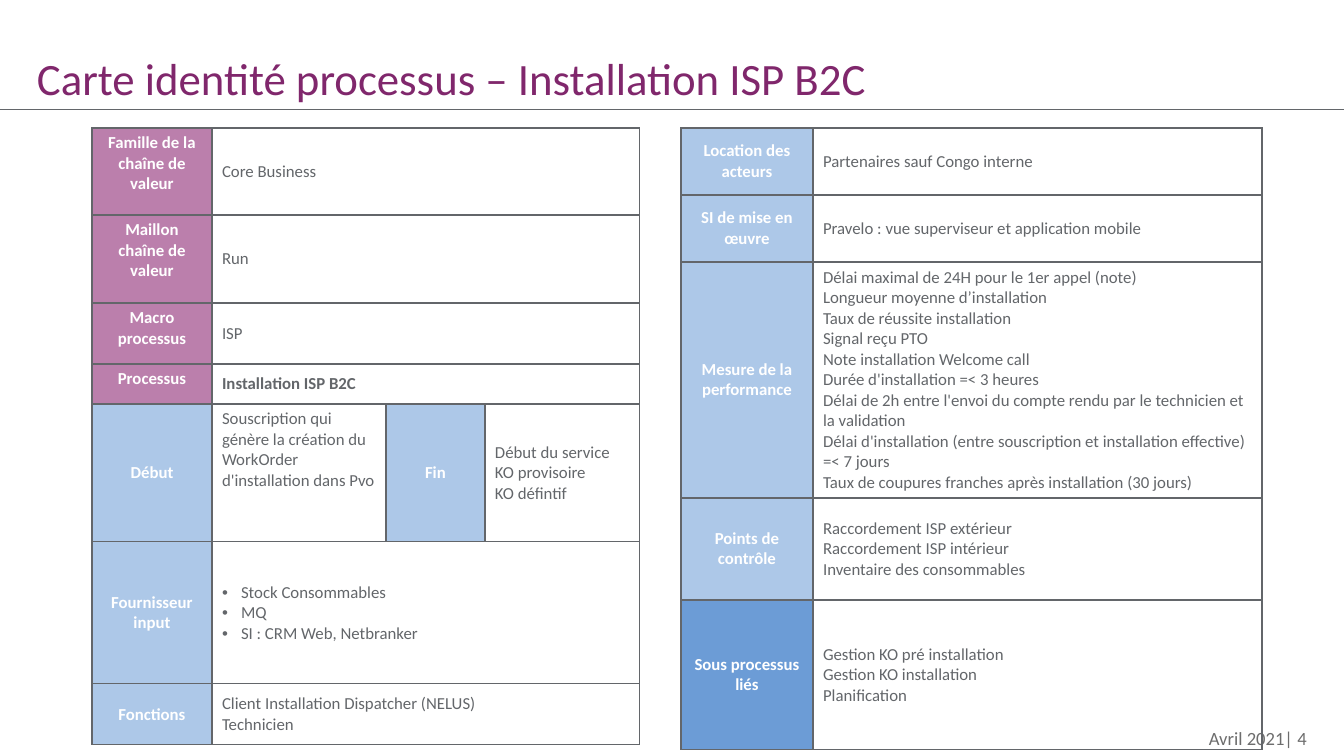
"""Build the process identity card slide for ISP B2C installation."""
from lxml import etree
from pptx import Presentation, util as u
from pptx.dml.color import RGBColor
from pptx.enum import shapes, text
from pptx.oxml.ns import qn

TITLE = "Carte identité processus – Installation ISP B2C"
FOOT = "Avril 2021| 4"
FONT = "Calibri"
HUES = {"title": "80276C", "ink": "63666A", "foot": "6D6D6D", "white": "FFFFFF",
        "plum": "BB7FAC", "sky": "ADC8E8", "blue": "6C9CD6"}

CARDS = [
    {"at": (92, 128), "cols": (120, 174, 99, 155),
     "top": {(0, 0), (1, 0), (2, 0), (3, 0), (4, 1)},
     "bold": {(3, 1)}, "list": {(5, 1)},
     "rows": [
         (87, "plum", ["Famille de la chaîne de valeur", "Core Business"]),
         (88, "plum", ["Maillon chaîne de valeur", "Run"]),
         (61, "plum", ["Macro processus", "ISP"]),
         (40, "plum", ["Processus", "Installation ISP B2C"]),
         (138, "sky", ["Début",
                       "Souscription qui génère la création du WorkOrder "
                       "d'installation dans Pvo",
                       "Fin",
                       "Début du service\nKO provisoire\nKO défintif"]),
         (142, "sky", ["Fournisseur input",
                       "Stock Consommables\nMQ\nSI : CRM Web, Netbranker"]),
         (61, "sky", ["Fonctions",
                      "Client Installation Dispatcher (NELUS)\nTechnicien"]),
     ]},
    {"at": (681, 128), "cols": (132, 449),
     "top": set(), "bold": set(), "list": set(),
     "rows": [
         (67, "sky", ["Location des acteurs", "Partenaires sauf Congo interne"]),
         (67, "sky", ["SI de mise en œuvre",
                      "Pravelo : vue superviseur et application mobile"]),
         (236, "sky", ["Mesure de la performance",
                       "Délai maximal de 24H pour le 1er appel (note)\n"
                       "Longueur moyenne d’installation\n"
                       "Taux de réussite installation\n"
                       "Signal reçu PTO\n"
                       "Note installation Welcome call\n"
                       "Durée d'installation =< 3 heures\n"
                       "Délai de 2h entre l'envoi du compte rendu par le "
                       "technicien et la validation\n"
                       "Délai d'installation (entre souscription et "
                       "installation effective) =< 7 jours\n"
                       "Taux de coupures franches après installation (30 jours)"]),
         (102, "sky", ["Points de contrôle",
                       "Raccordement ISP extérieur\nRaccordement ISP intérieur\n"
                       "Inventaire des consommables"]),
         (150, "blue", ["Sous processus liés",
                        "Gestion KO pré installation\nGestion KO installation\n"
                        "Planification"]),
     ]},
]


def px(*vals):
    return [round(v * 914400 / 100.8) for v in vals]


def hue(name):
    return RGBColor.from_string(HUES[name])


def style(par, size, color, bold=False, align=text.PP_ALIGN.LEFT):
    par.alignment = align
    for run in par.runs:
        font = run.font
        font.name, font.size, font.bold = FONT, u.Pt(size), bold
        font.color.rgb = hue(color)


def frame(shape, words, size, color, anchor, align):
    body = shape.text_frame
    body.text = words
    body.word_wrap = True
    body.auto_size = text.MSO_AUTO_SIZE.NONE
    body.vertical_anchor = anchor
    body.margin_left = body.margin_right = body.margin_top = body.margin_bottom = 0
    style(body.paragraphs[0], size, color, align=align)


def border(cell):
    props = cell._tc.get_or_add_tcPr()
    for side in ("lnL", "lnR", "lnT", "lnB"):
        line = etree.SubElement(props, qn("a:" + side), w=str(u.Pt(1)))
        fill = etree.SubElement(line, qn("a:solidFill"))
        etree.SubElement(fill, qn("a:srgbClr"), val=HUES["ink"])


def bullet(par):
    props = par._p.get_or_add_pPr()
    inset = px(19)[0]
    props.set("marL", str(inset))
    props.set("indent", str(-inset))
    etree.SubElement(props, qn("a:buFont"), typeface="Arial")
    etree.SubElement(props, qn("a:buChar"), char="•")


def write(cell, words, tone, card, key):
    label = key[1] % 2 == 0
    cell.text = words
    cell.vertical_anchor = (text.MSO_ANCHOR.TOP if key in card["top"]
                            else text.MSO_ANCHOR.MIDDLE)
    if label:
        cell.fill.solid()
        cell.fill.fore_color.rgb = hue(tone)
    for par in cell.text_frame.paragraphs:
        if key in card["list"]:
            bullet(par)
        style(par, 12, "white" if label else "ink", label or key in card["bold"],
              text.PP_ALIGN.CENTER if label else text.PP_ALIGN.LEFT)


def draw(slide, card):
    cols, rows = card["cols"], card["rows"]
    size = sum(cols), sum(row[0] for row in rows)
    grid = slide.shapes.add_table(len(rows), len(cols), *px(*card["at"], *size)).table
    grid.first_row = grid.horz_banding = False
    for col, wide in zip(grid.columns, px(*cols)):
        col.width = wide
    for r, (high, tone, words) in enumerate(rows):
        grid.rows[r].height = px(high)[0]
        for c in range(len(cols)):
            border(grid.cell(r, c))
            grid.cell(r, c).fill.background()
        if len(words) < len(cols):
            grid.cell(r, 1).merge(grid.cell(r, len(cols) - 1))
        for c, word in enumerate(words):
            write(grid.cell(r, c), word, tone, card, (r, c))


def main():
    deck = Presentation()
    deck.slide_width, deck.slide_height = px(1344, 756)
    slide = deck.slides.add_slide(deck.slide_layouts[5])
    title = slide.shapes.title
    title.left, title.top, title.width, title.height = px(37, 4, 1270, 100)
    frame(title, TITLE, 32, "title", text.MSO_ANCHOR.BOTTOM, text.PP_ALIGN.LEFT)
    foot = slide.shapes.add_textbox(*px(907, 727, 400, 22))
    frame(foot, FOOT, 13.3, "foot", text.MSO_ANCHOR.MIDDLE, text.PP_ALIGN.RIGHT)
    rule = slide.shapes.add_connector(shapes.MSO_CONNECTOR.STRAIGHT,
                                      *px(0, 110, 1344, 110))
    rule.line.color.rgb = hue("ink")
    rule.line.width = u.Pt(0.75)
    etree.SubElement(rule._element.spPr, qn("a:effectLst"))
    for card in CARDS:
        draw(slide, card)
    deck.save("out.pptx")


if __name__ == "__main__":
    main()
